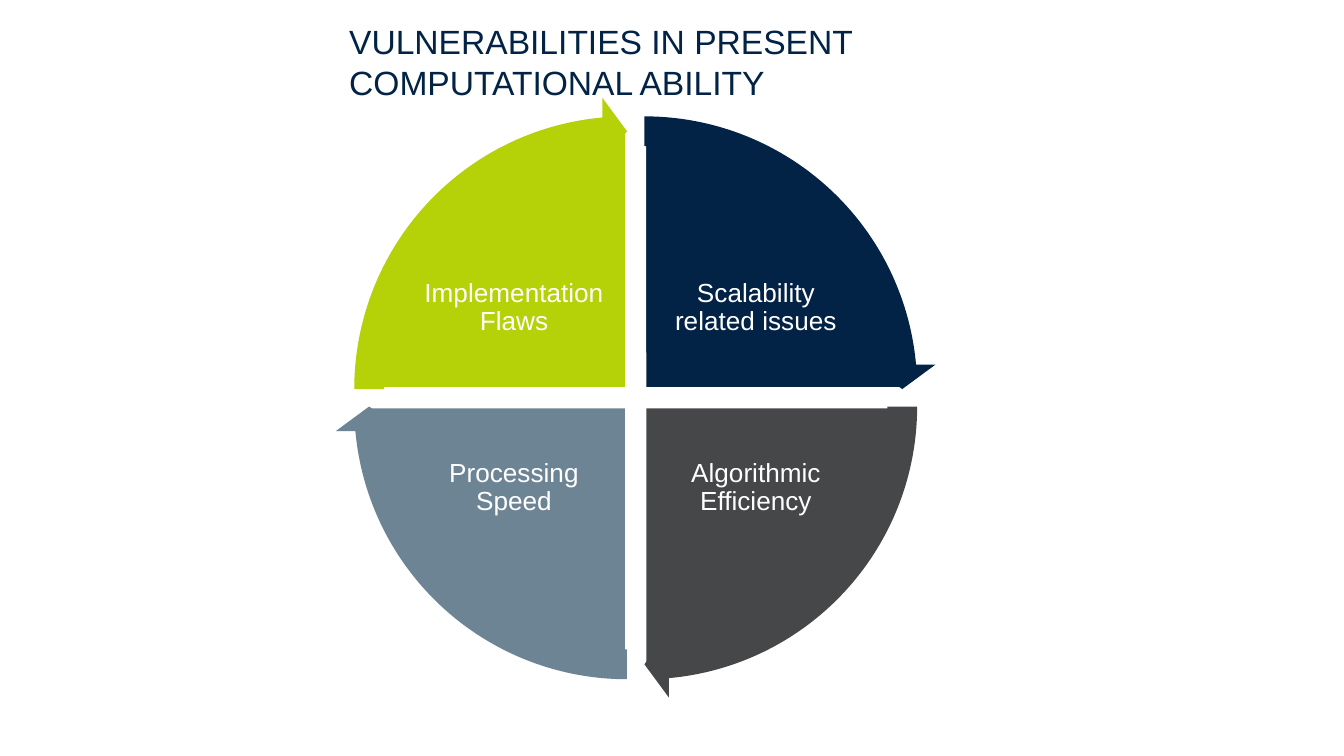
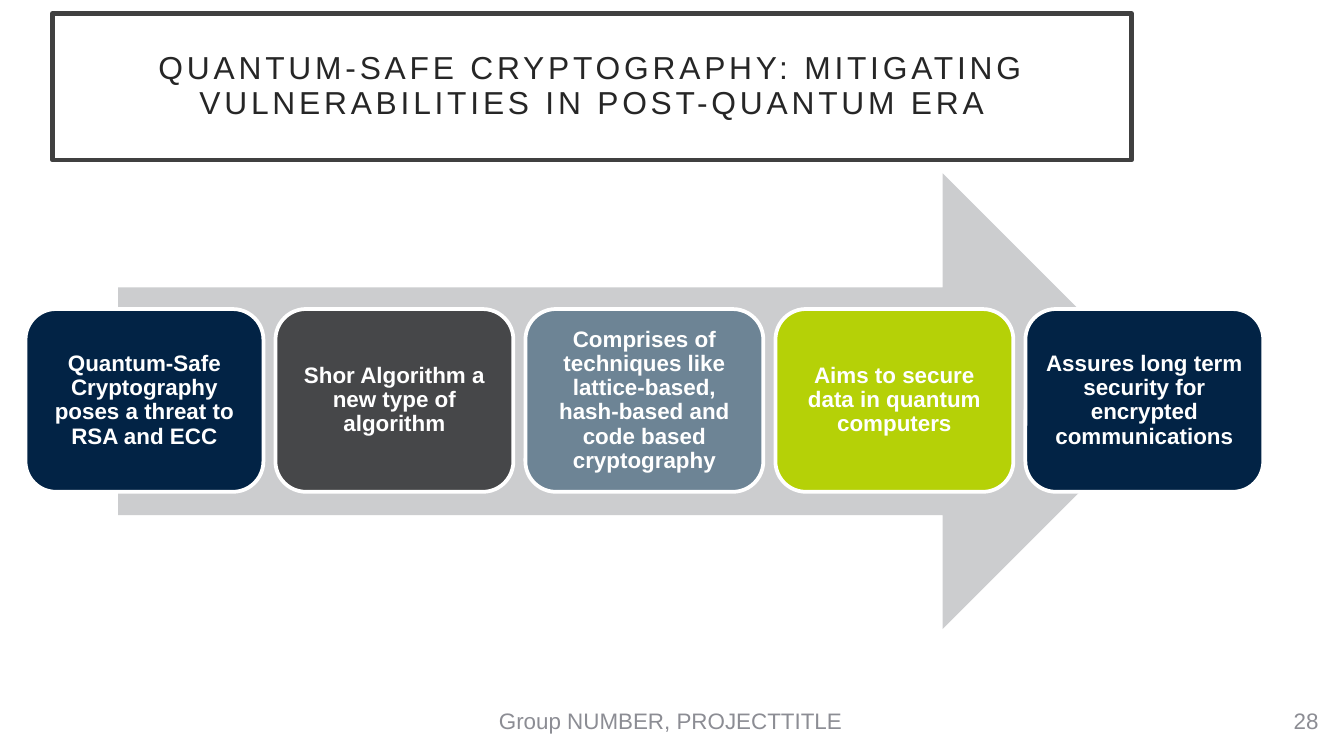
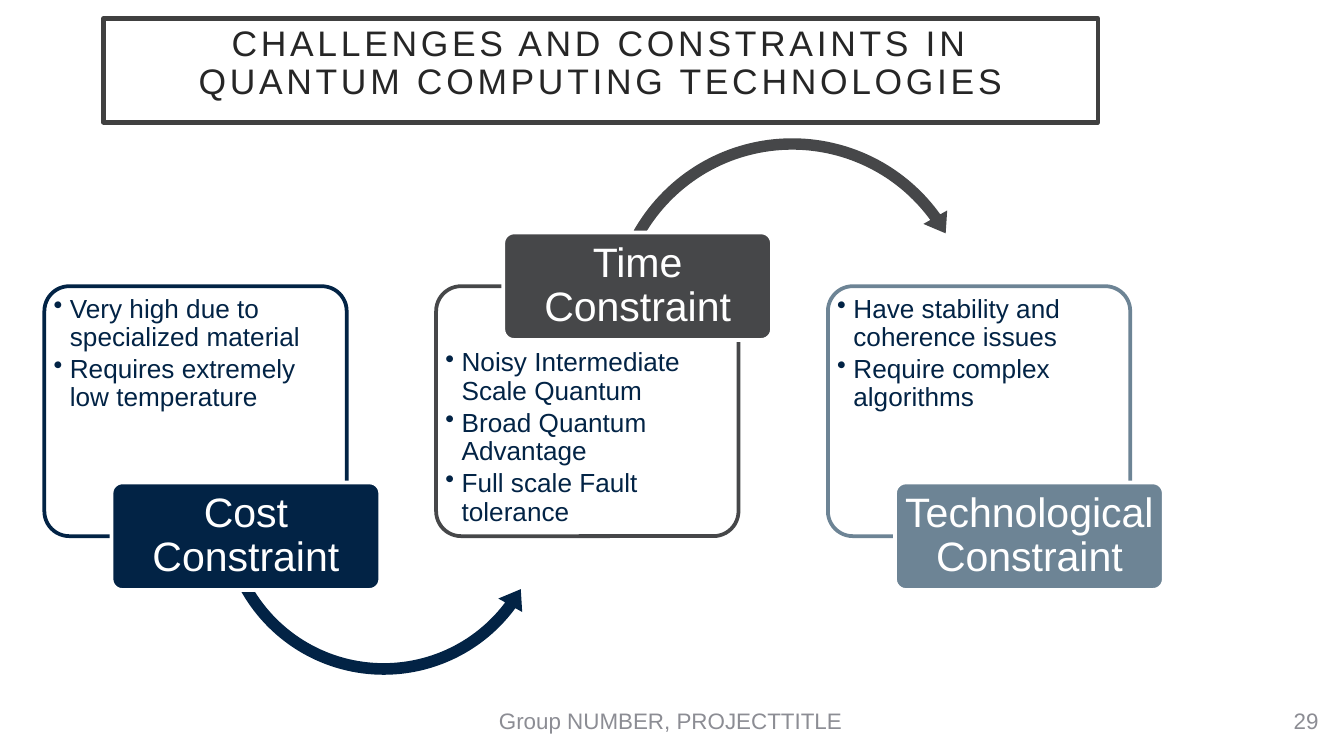
from lxml.etree import SubElement
from pptx import Presentation
from pptx.dml.color import RGBColor
from pptx.enum.shapes import MSO_SHAPE
from pptx.enum.text import MSO_ANCHOR, MSO_AUTO_SIZE, PP_ALIGN
from pptx.oxml.ns import qn
from pptx.util import Inches, Pt

COLUMNS, ROWS = 100, 56.25
FONT = "Arial"
NAVY, GRAPHITE, SLATE, LIME = "022345", "464749", "6D8495", "B5D107"
WHITE, ARROW_GRAY, FOOTER_GRAY = "FFFFFF", "CCCDCF", "8C8D94"
FRAME_GRAY, TITLE_GRAY = "404040", "262626"
FOOTER = "Group NUMBER, PROJECTTITLE"


def color(hex_string):
    return RGBColor.from_string(hex_string)


def angle(degrees):
    return degrees % 360 * 0.6


def inner(box, margin):
    left, top, width, height = box
    return left + margin, top + margin, width - 2 * margin, height - 2 * margin


class Deck:
    def __init__(self):
        self.presentation = Presentation()
        self.presentation.slide_width = Inches(10)
        self.presentation.slide_height = Inches(5.625)
        self.column = self.presentation.slide_width / COLUMNS
        self.row = self.presentation.slide_height / ROWS
        self.slide = None

    def new_slide(self):
        layout = self.presentation.slide_layouts[6]
        self.slide = self.presentation.slides.add_slide(layout)
        self.slide.background.fill.solid()
        self.slide.background.fill.fore_color.rgb = color(WHITE)

    def place(self, box):
        left, top, width, height = box
        return (round(left * self.column), round(top * self.row),
                round(width * self.column), round(height * self.row))

    def shape(self, kind, box, fill, line=None, adjustments=(), weight=2, opacity=None):
        shape = self.slide.shapes.add_shape(kind, *self.place(box))
        shape.shadow.inherit = False
        shape.fill.solid()
        shape.fill.fore_color.rgb = color(fill)
        if opacity:
            tint = shape._element.spPr.find(qn("a:solidFill")).find(qn("a:srgbClr"))
            SubElement(tint, qn("a:alpha"), val=str(opacity * 1000))
        if line:
            shape.line.color.rgb = color(line)
            shape.line.width = Pt(weight)
        else:
            shape.line.fill.background()
        for index, value in enumerate(adjustments):
            shape.adjustments[index] = value
        return shape

    def fill_text(self, shape, texts, size, ink, align=PP_ALIGN.CENTER,
                  anchor=MSO_ANCHOR.MIDDLE, margins=(1, 0.5, 1, 0.5), line_spacing=None,
                  after=None, bullet=False, bold=False, tracking=None):
        frame = shape.text_frame
        frame.word_wrap = True
        frame.vertical_anchor = anchor
        left, top, right, bottom = margins
        frame.margin_left, frame.margin_right = round(left * self.column), round(right * self.column)
        frame.margin_top, frame.margin_bottom = round(top * self.row), round(bottom * self.row)
        for index, text in enumerate(texts):
            paragraph = frame.add_paragraph() if index else frame.paragraphs[0]
            paragraph.alignment = align
            if line_spacing:
                paragraph.line_spacing = line_spacing
            properties = paragraph._p.get_or_add_pPr()
            if after:
                spacing = SubElement(properties, qn("a:spcAft"))
                SubElement(spacing, qn("a:spcPct"), val=str(after * 1000))
            if bullet:
                paragraph.level = 1
                indent = round(1.2 * self.column)
                properties.set("marL", str(indent))
                properties.set("indent", str(-indent))
                SubElement(properties, qn("a:buChar"), char="•")
            run = paragraph.add_run()
            run.text = text
            run.font.name = FONT
            run.font.size = Pt(size)
            run.font.bold = bold
            run.font.color.rgb = color(ink)
            if tracking:
                run._r.get_or_add_rPr().set("spc", str(tracking * 100))

    def text(self, box, texts, size, ink, **style):
        text_box = self.slide.shapes.add_textbox(*self.place(box))
        self.fill_text(text_box, texts, size, ink, **style)
        return text_box

    def label(self, box, text, size, margins, bold=False):
        self.text(box, [text], size, WHITE, margins=margins, line_spacing=0.9,
                  after=35, bold=bold)

    def framed_title(self, box, text, size, bottom_margin=2):
        shape = self.shape(MSO_SHAPE.RECTANGLE, box, WHITE, FRAME_GRAY, weight=2.5)
        self.fill_text(shape, [text], size, TITLE_GRAY, margins=(2, 2, 2, bottom_margin),
                       line_spacing=0.9, tracking=2)

    def footer(self, number):
        self.text((18.2, 52.1, 63.4, 3), [FOOTER], 12, FOOTER_GRAY)
        self.text((75.8, 52.1, 23.3, 3), [number], 12, FOOTER_GRAY, align=PP_ALIGN.RIGHT)

    def arc_arrow(self, kind, box, fill, thickness, head_sweep, end, start, head_width):
        self.shape(kind, box, fill, adjustments=(
            thickness / 100, angle(head_sweep), angle(end), angle(start), head_width / 100))

    def panel(self, left, tint, points, heading_on_top):
        top = 21.3
        self.shape(MSO_SHAPE.ROUNDED_RECTANGLE, (left, top, 22.5, 18.6), WHITE, tint,
                   adjustments=(0.1,), opacity=90)
        points_top = top + (4.4 if heading_on_top else 0.4)
        self.text((left + 0.4, points_top, 21.7, 13.7), points, 14, NAVY, align=PP_ALIGN.LEFT,
                  anchor=MSO_ANCHOR.TOP, margins=(0.3,) * 4, line_spacing=0.9,
                  after=15, bullet=True)

    def panel_heading(self, left, tint, heading, heading_on_top):
        box = (left + 5, 17.3 if heading_on_top else 35.9, 20, 8)
        self.shape(MSO_SHAPE.ROUNDED_RECTANGLE, box, tint, WHITE, adjustments=(0.1,))
        self.label(inner(box, 0.2), heading, 22, (0.5, 0.3, 0.5, 0.3))


def vulnerabilities(deck):
    deck.new_slide()
    title = deck.text((25, 1.1, 50, 7.1), ["VULNERABILITIES IN PRESENT COMPUTATIONAL ABILITY"],
                      18, NAVY, align=PP_ALIGN.LEFT, anchor=MSO_ANCHOR.TOP)
    title.text_frame.auto_size = MSO_AUTO_SIZE.SHAPE_TO_FIT_TEXT
    quadrants = [
        ("Scalability related issues", NAVY, 270, 1, 0),
        ("Algorithmic Efficiency", GRAPHITE, 0, 1, 1),
        ("Processing Speed", SLATE, 90, 0, 1),
        ("Implementation Flaws", LIME, 180, 0, 0),
    ]
    wheel = []
    for name, tint, start, across, down in quadrants:
        pie = (27.3 + 1.3 * across, 9.6 + 1.3 * down, 38.7, 38.7)
        deck.shape(MSO_SHAPE.PIE, pie, tint, WHITE, (angle(start), angle(start + 90)))
        deck.label((31.1 + 18 * across, 17.6 + 13.4 * down, 14.3, 10.6), name, 14, (0.2,) * 4)
        wheel.append((inner(pie, -2.4), tint, start))
    for ring, tint, start in wheel:
        deck.arc_arrow(MSO_SHAPE.CIRCULAR_ARROW, ring, tint, 5.1, 5.46, start + 84.54, start, 5.9)


def quantum_safe_cryptography(deck):
    deck.new_slide()
    deck.footer("28")
    deck.framed_title((3.9, 1, 80.3, 10.9), "QUANTUM-SAFE CRYPTOGRAPHY: MITIGATING "
                      "VULNERABILITIES IN POST-QUANTUM ERA", 17)
    deck.shape(MSO_SHAPE.RIGHT_ARROW, (8.8, 12.9, 78.3, 33.9), ARROW_GRAY)
    steps = [
        ("Quantum-Safe Cryptography poses a threat to RSA and ECC", NAVY),
        ("Shor Algorithm a new type of algorithm", GRAPHITE),
        ("Comprises of techniques like lattice-based, hash-based and code based cryptography",
         SLATE),
        ("Aims to secure data in quantum computers", LIME),
        ("Assures long term security for encrypted communications", NAVY),
    ]
    for index, (step, tint) in enumerate(steps):
        card = (1.9 + 18.6 * index, 23, 17.7, 13.6)
        deck.shape(MSO_SHAPE.ROUNDED_RECTANGLE, card, tint, WHITE)
        deck.label(inner(card, 0.7), step, 12, (0.5,) * 4, bold=True)


def challenges(deck):
    deck.new_slide()
    deck.footer("29")
    deck.framed_title((7.7, 1.4, 74, 7.7), "CHALLENGES AND CONSTRAINTS IN QUANTUM "
                      "COMPUTING TECHNOLOGIES", 19, bottom_margin=3)
    constraints = [
        ("Cost Constraint", NAVY,
         ["Very high due to specialized material", "Requires extremely low temperature"],
         (MSO_SHAPE.LEFT_CIRCULAR_ARROW, (15.8, 25.3, 25.5, 25.5), NAVY,
          3.4, 6.99, 36.58, 150.41, 4)),
        ("Time Constraint", GRAPHITE,
         ["Noisy Intermediate Scale Quantum", "Broad Quantum Advantage",
          "Full scale Fault tolerance"],
         (MSO_SHAPE.CIRCULAR_ARROW, (44.8, 9.7, 28.3, 28.3), GRAPHITE,
          3, 6.23, 324.18, 209.59, 3.6)),
        ("Technological Constraint", SLATE,
         ["Have stability and coherence issues", "Require complex algorithms"], None),
    ]
    for index, (heading, tint, points, arrow) in enumerate(constraints):
        left = 3.3 + 29.15 * index
        heading_on_top = index % 2 == 1
        deck.panel(left, tint, points, heading_on_top)
        if arrow:
            deck.arc_arrow(*arrow)
        deck.panel_heading(left, tint, heading, heading_on_top)


def main():
    deck = Deck()
    vulnerabilities(deck)
    quantum_safe_cryptography(deck)
    challenges(deck)
    deck.presentation.save("out.pptx")


if __name__ == "__main__":
    main()
